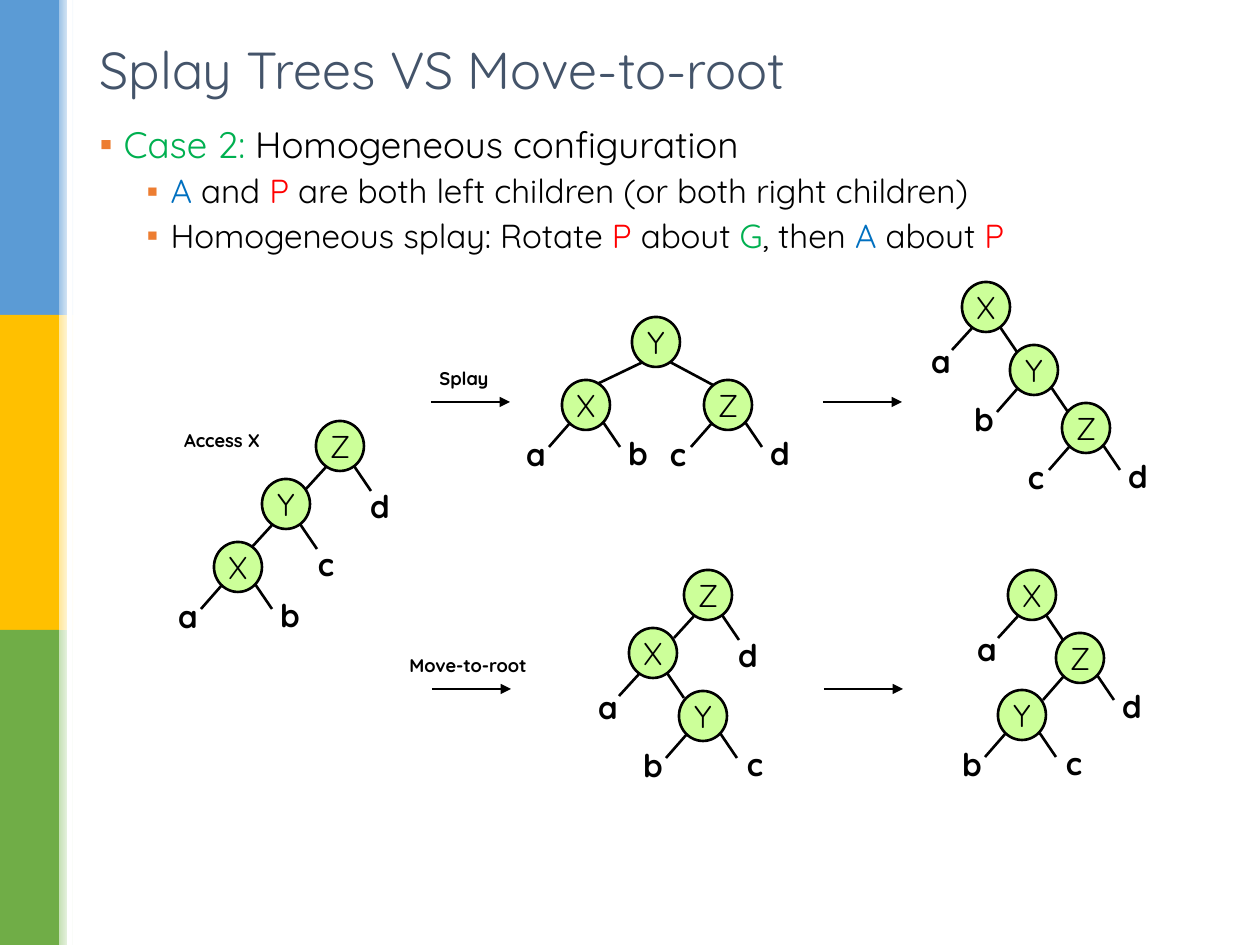
"""Build a slide that compares splay trees with the move-to-root rule."""
from dataclasses import dataclass
from typing import Any

from lxml.etree import SubElement
from pptx import Presentation
from pptx.dml.color import RGBColor
from pptx.enum.shapes import MSO_CONNECTOR, MSO_SHAPE
from pptx.enum.text import MSO_ANCHOR, MSO_AUTO_SIZE, PP_ALIGN
from pptx.oxml.ns import qn
from pptx.util import Emu, Pt

EMU_PER_PIXEL = 914400 / 126
FONT = "Quicksand"
BLACK = RGBColor(0x00, 0x00, 0x00)
WHITE = RGBColor(0xFF, 0xFF, 0xFF)
SLATE = RGBColor(0x44, 0x54, 0x6A)
ORANGE = RGBColor(0xED, 0x7D, 0x31)
RED = RGBColor(0xFF, 0x00, 0x00)
GREEN = RGBColor(0x00, 0xB0, 0x50)
BLUE = RGBColor(0x00, 0x70, 0xC0)
NODE_GREEN = RGBColor(0xCC, 0xFF, 0x99)
BANDS = [
    (RGBColor(0x5B, 0x9B, 0xD5), RGBColor(0x9D, 0xC3, 0xE6)),
    (RGBColor(0xFF, 0xC0, 0x00), RGBColor(0xFF, 0xE6, 0x99)),
    (RGBColor(0x70, 0xAD, 0x47), RGBColor(0xC5, 0xE0, 0xB4)),
]
BAND_HEIGHT = 315
NODE_WIDTH, NODE_HEIGHT = 48, 50


@dataclass(frozen=True)
class Branch:
    """Offsets from a node centre to one edge and its leaf."""
    start: tuple[int, int]
    end: tuple[int, int]
    leaf: tuple[int, int]


@dataclass(frozen=True)
class Node:
    """One tree node with the leaves that hang from it."""
    name: str
    x: int
    y: int
    branches: tuple[Branch, Branch]
    left_leaf: str = ""
    right_leaf: str = ""


@dataclass(frozen=True)
class Caption:
    """A small label centred on a point."""
    text: str
    x: int
    y: int
    width: int


@dataclass(frozen=True)
class Bullet:
    """One list paragraph made of coloured runs."""
    level: int
    size: int
    margin: int
    runs: list[tuple[str, RGBColor]]


INNER = (Branch((-13, 20), (-34, 43), (-45, 54)), Branch((14, 20), (31, 45), (40, 60)))
OUTER = (Branch((-16, 18), (-37, 42), (-50, 49)), Branch((17, 17), (34, 42), (52, 48)))
WIDE = (Branch((-13, 20), (-61, 43), (0, 0)), Branch((14, 20), (57, 43), (0, 0)))

NODES = [
    Node("Z", 340, 446, INNER, right_leaf="d"),
    Node("Y", 286, 504, INNER, right_leaf="c"),
    Node("X", 238, 567, OUTER, "a", "b"),
    Node("Y", 656, 342, WIDE),
    Node("X", 586, 405, OUTER, "a", "b"),
    Node("Z", 728, 405, OUTER, "c", "d"),
    Node("X", 986, 307, INNER, "a"),
    Node("Y", 1034, 370, OUTER, "b"),
    Node("Z", 1086, 428, OUTER, "c", "d"),
    Node("Z", 708, 595, INNER, right_leaf="d"),
    Node("X", 653, 653, INNER, "a"),
    Node("Y", 703, 716, OUTER, "b", "c"),
    Node("X", 1032, 595, INNER, "a"),
    Node("Z", 1080, 658, OUTER, right_leaf="d"),
    Node("Y", 1022, 715, OUTER, "b", "c"),
]
CAPTIONS = [
    Caption("Splay", 464, 378, 75),
    Caption("Access X", 222, 440, 110),
    Caption("Move-to-root", 468, 665, 145),
]
ARROWS = [(431, 402), (823, 402), (432, 689), (824, 689)]
ARROW_LENGTH = 79
BULLETS = [
    Bullet(0, 21, 24, [("Case 2:", GREEN), (" Homogeneous configuration", BLACK)]),
    Bullet(1, 19, 71, [("A", BLUE), (" and ", BLACK), ("P", RED),
                       (" are both left children (or both right children)", BLACK)]),
    Bullet(1, 19, 71, [("Homogeneous splay: Rotate ", BLACK), ("P", RED),
                       (" about ", BLACK), ("G", GREEN), (", then ", BLACK),
                       ("A", BLUE), (" about ", BLACK), ("P", RED)]),
]


def pixels(*values: float) -> list[Emu]:
    """Turn picture pixels into EMU."""
    return [Emu(round(value * EMU_PER_PIXEL)) for value in values]


def apply_format(target: Any, values: dict[str, Any]) -> None:
    """Set each named attribute on the target."""
    for name, value in values.items():
        setattr(target, name, value)


def add_run(paragraph: Any, text: str, size: float, color: RGBColor, bold: bool = False) -> None:
    """Append a formatted run."""
    run = paragraph.add_run()
    run.text = text
    apply_format(run.font, {"name": FONT, "size": Pt(size), "bold": bold})
    run.font.color.rgb = color


def add_band(slide: Any, left: int, top: int, width: int, height: int, *colors: RGBColor) -> None:
    """Draw a borderless rectangle, graded when two colours are given."""
    shape = slide.shapes.add_shape(MSO_SHAPE.RECTANGLE, *pixels(left, top, width, height))
    shape.shadow.inherit = False
    shape.line.fill.background()
    if len(colors) == 1:
        shape.fill.solid()
        shape.fill.fore_color.rgb = colors[0]
        return
    shape.fill.gradient()
    shape.fill.gradient_angle = 0
    for stop, color, position in zip(shape.fill.gradient_stops, colors, (0, 1)):
        stop.color.rgb = color
        stop.position = position


def add_line(slide: Any, start: tuple[int, int], end: tuple[int, int], arrow: bool = False) -> None:
    """Draw a black line, with an arrowhead at its end on request."""
    line = slide.shapes.add_connector(MSO_CONNECTOR.STRAIGHT, *pixels(*start, *end))
    apply_format(line.line, {"width": Pt(1.5)})
    line.line.color.rgb = BLACK
    if arrow:
        SubElement(line.line._get_or_add_ln(), qn("a:tailEnd"), type="triangle")
    SubElement(line._element.spPr, qn("a:effectLst"))


def fill_text(shape: Any, text: str, size: float, bold: bool) -> None:
    """Centre one line of text in a shape."""
    apply_format(shape.text_frame, {"word_wrap": False, "vertical_anchor": MSO_ANCHOR.MIDDLE})
    paragraph = shape.text_frame.paragraphs[0]
    paragraph.alignment = PP_ALIGN.CENTER
    add_run(paragraph, text, size, BLACK, bold)


def add_label(slide: Any, text: str, x: int, y: int, width: int, height: int, size: float) -> None:
    """Add a bold label centred on a point."""
    box = slide.shapes.add_textbox(*pixels(x - width / 2, y - height / 2, width, height))
    fill_text(box, text, size, True)


def add_node(slide: Any, node: Node) -> None:
    """Draw a node, its two edges and its leaves."""
    shape = slide.shapes.add_shape(MSO_SHAPE.OVAL, *pixels(
        node.x - NODE_WIDTH / 2, node.y - NODE_HEIGHT / 2, NODE_WIDTH, NODE_HEIGHT))
    shape.shadow.inherit = False
    shape.fill.solid()
    shape.fill.fore_color.rgb = NODE_GREEN
    shape.line.color.rgb = BLACK
    shape.line.width = Pt(1.5)
    fill_text(shape, node.name, 18, False)
    for branch, leaf in zip(node.branches, (node.left_leaf, node.right_leaf)):
        start, end, spot = [(node.x + dx, node.y + dy)
                            for dx, dy in (branch.start, branch.end, branch.leaf)]
        add_line(slide, start, end)
        if leaf:
            add_label(slide, leaf, *spot, 46, 50, 18)


def place(shape: Any, *box: int) -> None:
    """Move a placeholder to a pixel box."""
    apply_format(shape, dict(zip(("left", "top", "width", "height"), pixels(*box))))


def add_bullet(paragraph: Any, bullet: Bullet) -> None:
    """Format a list paragraph and its square bullet."""
    apply_format(paragraph, {"level": bullet.level, "line_spacing": 0.9, "space_before": Pt(5)})
    properties = paragraph._p.get_or_add_pPr()
    margin, indent = pixels(bullet.margin, -24)
    properties.set("marL", str(margin))
    properties.set("indent", str(indent))
    SubElement(SubElement(properties, qn("a:buClr")), qn("a:srgbClr"), val=str(ORANGE))
    SubElement(properties, qn("a:buChar"), char="▪")
    for text, color in bullet.runs:
        add_run(paragraph, text, bullet.size, color)


def build() -> None:
    """Assemble and save the slide."""
    presentation = Presentation()
    apply_format(presentation, dict(zip(("slide_width", "slide_height"), pixels(1260, 945))))
    slide = presentation.slides.add_slide(presentation.slide_layouts[1])
    title, body = slide.shapes.title, slide.placeholders[1]
    place(title, 87, 33, 771, 71)
    apply_format(title.text_frame, {"vertical_anchor": MSO_ANCHOR.MIDDLE,
                                    "auto_size": MSO_AUTO_SIZE.NONE})
    title.text_frame.paragraphs[0].alignment = PP_ALIGN.LEFT
    add_run(title.text_frame.paragraphs[0], "Splay Trees VS Move-to-root", 29.7, SLATE)
    place(body, 87, 120, 1101, 811)
    body.text_frame.auto_size = MSO_AUTO_SIZE.NONE
    for index, bullet in enumerate(BULLETS):
        frame = body.text_frame
        add_bullet(frame.add_paragraph() if index else frame.paragraphs[0], bullet)
    for index, (color, tint) in enumerate(BANDS):
        top = index * BAND_HEIGHT
        add_band(slide, 0, top, 59, BAND_HEIGHT, color)
        add_band(slide, 59, top, 15, BAND_HEIGHT, tint, WHITE)
    add_band(slide, 67, 0, 5, 945, WHITE)
    for node in NODES:
        add_node(slide, node)
    for caption in CAPTIONS:
        add_label(slide, caption.text, caption.x, caption.y, caption.width, 35, 10.5)
    for x, y in ARROWS:
        add_line(slide, (x, y), (x + ARROW_LENGTH, y), arrow=True)
    presentation.save("out.pptx")


build()
